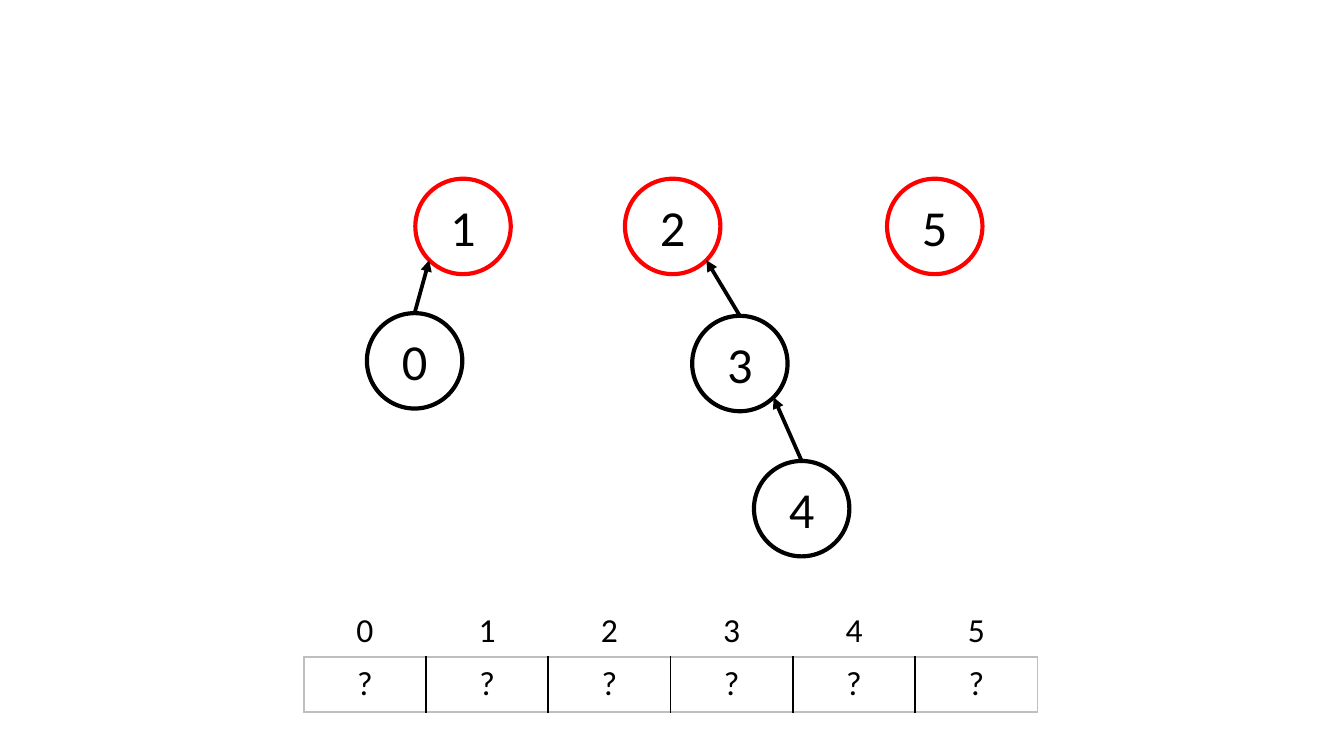
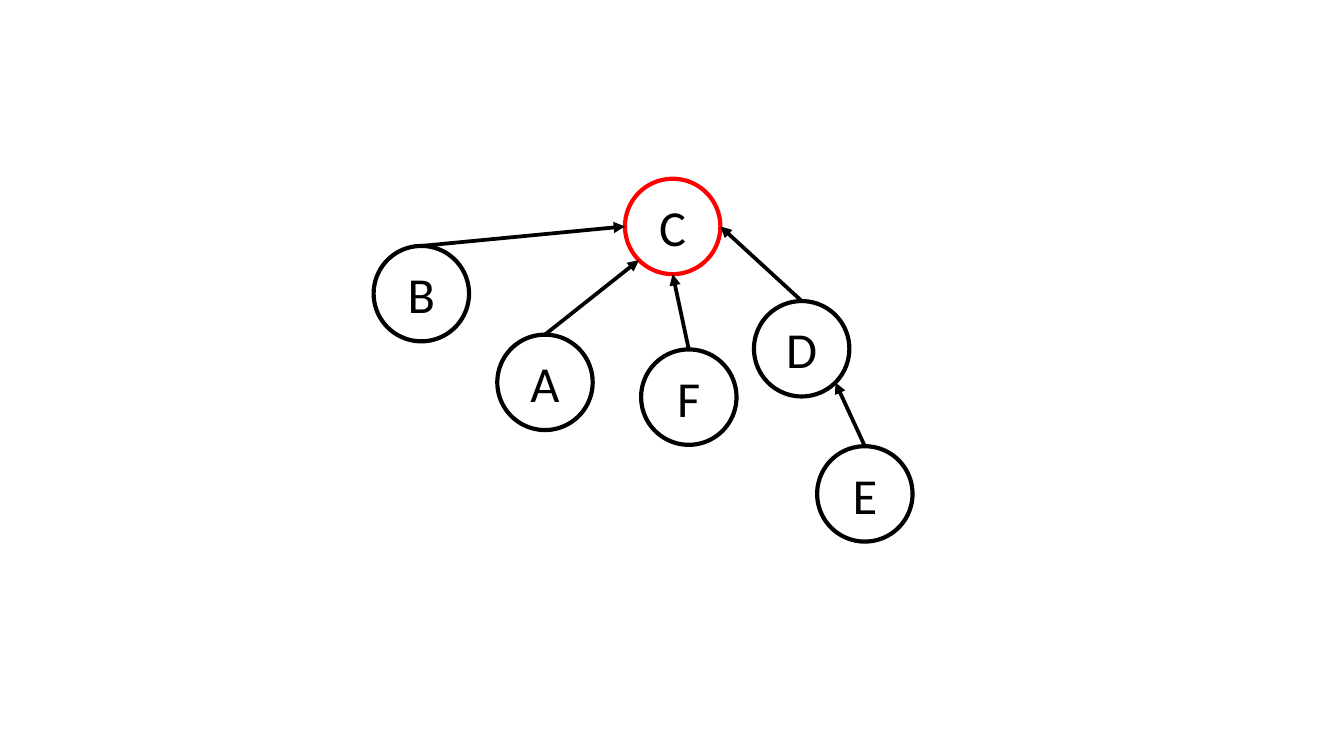
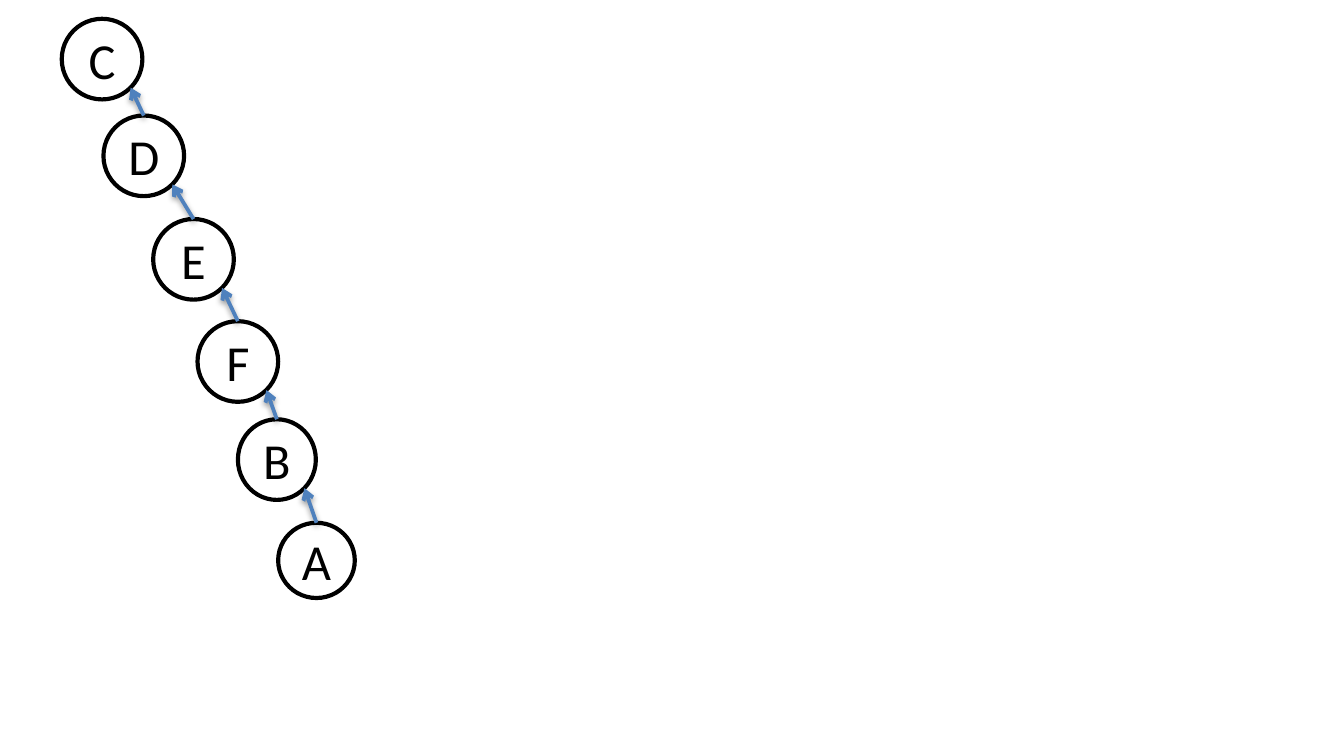
import math

import pptx
import pptx.dml.color
import pptx.enum.shapes
import pptx.enum.text
import pptx.oxml
import pptx.oxml.ns
import pptx.util
from pptx.util import Inches

FONT = "Calibri"
BLACK, RED, BLUE, GREY = "000000", "FF0000", "4F81BD", "BFBFBF"
SLIDE_WIDTH = 10
NODE_SIZE = (0.71, 0.71)
CHAIN_SIZE = (0.6, 0.6)
COLUMN_WIDTH, ROW_HEIGHT = 0.91, 0.4
TABLE_LEFT = 2.26
DRAWING_NS = pptx.oxml.ns.nsdecls("a")

# Where a link meets a node, as an angle in degrees, clockwise from the right.
RIGHT, LOWER_RIGHT, BOTTOM, LOWER_LEFT, LEFT, TOP = 0, 45, 90, 135, 180, 270


def color(hex_code):
    """Turn a hex string into a colour."""
    return pptx.dml.color.RGBColor.from_string(hex_code)


def write_text(frame, text, size=27, font_color=BLACK):
    """Put one centred line of text in a text frame."""
    paragraph = frame.paragraphs[0]
    paragraph.alignment = pptx.enum.text.PP_ALIGN.CENTER
    run = paragraph.add_run()
    run.text = text
    run.font.name = FONT
    run.font.size = pptx.util.Pt(size)
    run.font.color.rgb = color(font_color)


def add_node(slide, label, left, top, size=NODE_SIZE, outline=BLACK):
    """Draw a labelled, unfilled circle."""
    node = slide.shapes.add_shape(
        pptx.enum.shapes.MSO_SHAPE.OVAL,
        Inches(left), Inches(top), Inches(size[0]), Inches(size[1]))
    node.shadow.inherit = False
    node.fill.background()
    node.line.color.rgb = color(outline)
    node.line.width = pptx.util.Pt(2.25)
    frame = node.text_frame
    frame.word_wrap = True
    frame.vertical_anchor = pptx.enum.text.MSO_ANCHOR.MIDDLE
    frame.margin_left = frame.margin_right = Inches(0.07)
    frame.margin_top = frame.margin_bottom = Inches(0.04)
    write_text(frame, label)
    return node


def rim_point(node, angle):
    """Return the point of a node's outline at an angle."""
    turn = math.radians(angle)
    return (round(node.left + node.width * (1 + math.cos(turn)) / 2),
            round(node.top + node.height * (1 + math.sin(turn)) / 2))


def add_link(slide, child, parent, side, line_color=BLACK, head="triangle", shadow=False):
    """Draw an arrow from the top of a child to one side of its parent."""
    link = slide.shapes.add_connector(
        pptx.enum.shapes.MSO_CONNECTOR.STRAIGHT,
        *rim_point(child, TOP), *rim_point(parent, side))
    link.line.color.rgb = color(line_color)
    link.line.width = pptx.util.Pt(2)
    properties = link._element.spPr
    properties.find(pptx.oxml.ns.qn("a:ln")).append(
        pptx.oxml.parse_xml(f'<a:tailEnd {DRAWING_NS} type="{head}"/>'))
    effect = ""
    if shadow:
        effect = (f'<a:outerShdw blurRad="{pptx.util.Pt(3.1)}" dist="{pptx.util.Pt(1.6)}" '
                  'dir="5400000" rotWithShape="0"><a:srgbClr val="000000">'
                  '<a:alpha val="38000"/></a:srgbClr></a:outerShdw>')
    properties.append(pptx.oxml.parse_xml(
        f"<a:effectLst {DRAWING_NS}>{effect}</a:effectLst>"))


def set_borders(cell, edge_colors):
    """Colour the left, right, top and bottom borders; None hides one."""
    properties = cell._tc.get_or_add_tcPr()
    for position, (edge, paint) in enumerate(zip(("lnL", "lnR", "lnT", "lnB"), edge_colors)):
        fill = f'<a:solidFill><a:srgbClr val="{paint}"/></a:solidFill>' if paint else "<a:noFill/>"
        properties.insert(position, pptx.oxml.parse_xml(
            f'<a:{edge} {DRAWING_NS} w="{pptx.util.Pt(1)}">{fill}</a:{edge}>'))


def add_array(slide, values, top, inner=None, outer=None):
    """Draw a one-row table with its inner and outer border colours."""
    table = slide.shapes.add_table(
        1, len(values), Inches(TABLE_LEFT), Inches(top),
        Inches(COLUMN_WIDTH * len(values)), Inches(ROW_HEIGHT)).table
    table.first_row = table.horz_banding = False
    last = len(values) - 1
    for column, value in enumerate(values):
        table.columns[column].width = Inches(COLUMN_WIDTH)
        cell = table.cell(0, column)
        cell.fill.background()
        set_borders(cell, (outer if column == 0 else inner,
                           outer if column == last else inner, outer, outer))
        write_text(cell.text_frame, value, size=18)


def add_tree(slide, places, links, roots=""):
    """Draw nodes by label and the links between them; roots are red."""
    nodes = {label: add_node(slide, label, *place, outline=RED if label in roots else BLACK)
             for label, place in places.items()}
    for child, parent, side in links:
        add_link(slide, nodes[child], nodes[parent], side)


def add_forest_slide(slide):
    """Three numbered trees above their parent array."""
    add_array(slide, "??????", 4.89, inner=BLACK, outer=GREY)
    add_array(slide, "012345", 4.49)
    places = {"0": (2.73, 2.33), "1": (3.09, 1.33), "2": (4.65, 1.33),
              "3": (5.15, 2.35), "4": (5.61, 3.43), "5": (6.6, 1.33)}
    links = [("0", "1", LOWER_LEFT), ("3", "2", LOWER_RIGHT), ("4", "3", LOWER_RIGHT)]
    add_tree(slide, places, links, roots="125")


def add_shallow_tree_slide(slide):
    """One tree in which most nodes point at the root."""
    places = {"A": (3.7, 2.49), "B": (2.78, 1.83), "C": (4.65, 1.33),
              "D": (5.61, 2.24), "E": (6.08, 3.32), "F": (4.77, 2.6)}
    links = [("A", "C", LOWER_LEFT), ("D", "C", RIGHT), ("E", "D", LOWER_RIGHT),
             ("B", "C", LEFT), ("F", "C", BOTTOM)]
    add_tree(slide, places, links, roots="C")


def add_chain_slide(slide):
    """A tree that has become a single chain."""
    chain = [("C", 0.46, 0.14, CHAIN_SIZE), ("D", 0.77, 0.86, CHAIN_SIZE),
             ("E", 1.14, 1.63, CHAIN_SIZE), ("F", 1.47, 2.39, CHAIN_SIZE),
             ("B", 1.77, 3.12, (0.58, 0.6)), ("A", 2.07, 3.89, (0.57, 0.56))]
    nodes = [add_node(slide, *place) for place in chain]
    for parent, child in zip(nodes, nodes[1:]):
        add_link(slide, child, parent, LOWER_RIGHT, line_color=BLUE, head="arrow", shadow=True)


def main():
    """Build and save the presentation."""
    deck = pptx.Presentation()
    deck.slide_width = Inches(SLIDE_WIDTH)
    deck.slide_height = Inches(SLIDE_WIDTH * 9 / 16)
    for fill_slide in (add_forest_slide, add_shallow_tree_slide, add_chain_slide):
        fill_slide(deck.slides.add_slide(deck.slide_layouts[6]))
    deck.save("out.pptx")


main()
